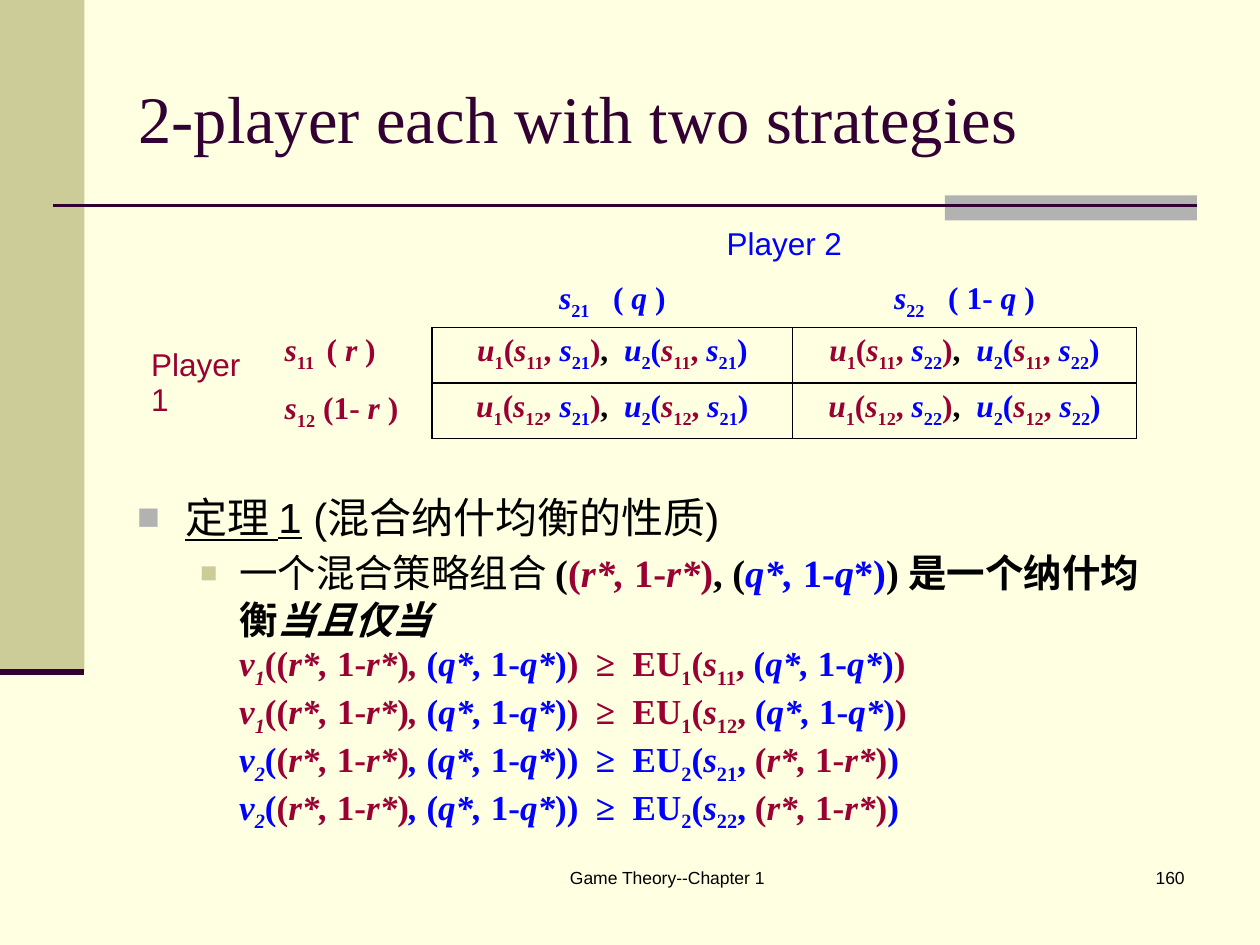
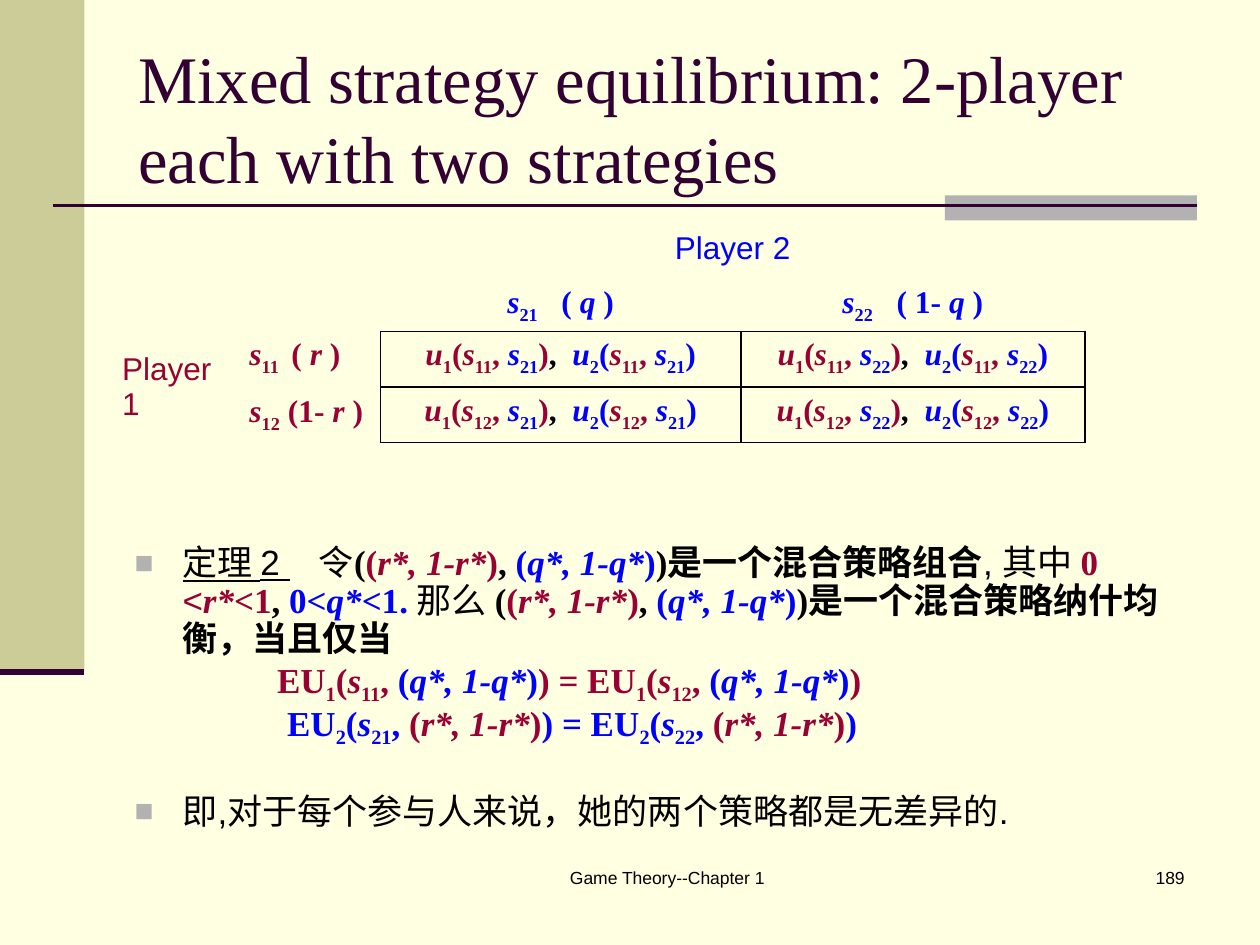
from dataclasses import dataclass
from typing import NamedTuple

from lxml import etree
from pptx import Presentation
from pptx import util as u
from pptx.dml.color import RGBColor
from pptx.enum import shapes, text
from pptx.oxml import ns

CREAM, KHAKI, GREY, PLUM = "FFFFE1", "CCCC99", "B2B2B2", "330033"
BLACK, RED, BLUE = "000000", "990033", "0000FF"
SANS, SERIF = "Arial", "Times New Roman"
NO_TABLE_STYLE = "{2D5ABB26-0587-4C30-8999-92F81FD0307C}"
LEFT, CENTER, RIGHT = text.PP_ALIGN.LEFT, text.PP_ALIGN.CENTER, text.PP_ALIGN.RIGHT
TOP, MIDDLE, BOTTOM = text.MSO_ANCHOR.TOP, text.MSO_ANCHOR.MIDDLE, text.MSO_ANCHOR.BOTTOM

COLOUR_MARKS = {"[": RED, "]": BLUE, "~": BLACK}
TOGGLE_MARKS = {"/": "italic", "_": "subscript", "|": "underline", "#": "math"}


class Box(NamedTuple):
    left: float
    top: float
    width: float
    height: float

    def inches(self) -> list:
        return [u.Inches(value) for value in self]


class Band(NamedTuple):
    box: Box
    colour: str


class Rule(NamedTuple):
    left: float
    right: float
    top: float
    weight: float


class Bullet(NamedTuple):
    colour: str
    percent: int


@dataclass
class Line:
    markup: str
    size: float
    align: text.PP_ALIGN = LEFT
    margin: float = 0
    indent: float = 0
    bullet: Bullet | None = None
    before: float = 0
    spacing: float | None = None
    name: str | None = None
    colour: str | None = None


@dataclass
class GameSlide:
    title: str
    number: int
    table_left: float
    table_top: float
    label_widths: tuple[float, float]
    body: Box
    lines: list[Line]


BANDS = [Band(Box(0, 0, 0.67, 5.33), KHAKI), Band(Box(7.5, 1.55, 2, 0.2), GREY)]
RULES = [Rule(0.42, 9.5, 1.63, 1.5), Rule(0, 0.67, 5.33, 3.5)]
TITLE_BOX = Box(1, 0.3, 8.5, 1.25)
FOOTER_BOX = Box(3.67, 6.83, 3.25, 0.5)
NUMBER_BOX = Box(7.42, 6.83, 2.08, 0.5)
MAIN_BULLET, SUB_BULLET = Bullet(GREY, 90), Bullet(KHAKI, 75)
PAYOFF_WIDTHS = (2.86, 2.73)
ROW_HEIGHTS = (0.47, 0.47, 0.42, 0.42)

R_MIX, Q_MIX = "(/r*, /1-/r*/)", "(/q*, /1-/q*/)"
R_SLANTED, Q_SLANTED = "(/r*, 1-r*/)", "(/q*, 1-q*/)"
PROFILE = f"([{R_SLANTED}~, ]{Q_SLANTED}~)"


def rgb(colour: str) -> RGBColor:
    return RGBColor.from_string(colour)


def parse_markup(markup: str) -> list[tuple[str, dict]]:
    style = dict(colour=BLACK, italic=False, subscript=False, underline=False, math=False)
    runs: list[tuple[str, dict]] = []
    for character in markup:
        if character in COLOUR_MARKS:
            style = style | {"colour": COLOUR_MARKS[character]}
        elif character in TOGGLE_MARKS:
            key = TOGGLE_MARKS[character]
            style = style | {key: not style[key]}
        elif runs and runs[-1][1] == style:
            runs[-1] = (runs[-1][0] + character, style)
        else:
            runs.append((character, style))
    return runs


def apply_style(font, style: dict) -> None:
    if "math" in style:
        font.name = SERIF if style["math"] else SANS
        font.bold = style["math"]
    if "colour" in style:
        font.color.rgb = rgb(style["colour"])
    if style.get("italic"):
        font.italic = True
    if style.get("underline"):
        font.underline = True


def add_bullet(properties, bullet: Bullet | None) -> None:
    if bullet is None:
        etree.SubElement(properties, ns.qn("a:buNone"))
        return
    colour = etree.SubElement(properties, ns.qn("a:buClr"))
    etree.SubElement(colour, ns.qn("a:srgbClr"), val=bullet.colour)
    etree.SubElement(properties, ns.qn("a:buSzPct"), val=str(bullet.percent * 1000))
    etree.SubElement(properties, ns.qn("a:buFont"), typeface=SANS)
    etree.SubElement(properties, ns.qn("a:buChar"), char="■")


def write_line(paragraph, line: Line) -> None:
    properties = paragraph._p.get_or_add_pPr()
    properties.set("marL", str(u.Inches(line.margin)))
    properties.set("indent", str(u.Inches(line.indent)))
    add_bullet(properties, line.bullet)
    paragraph.alignment = line.align
    paragraph.space_before = u.Pt(line.before)
    if line.spacing:
        paragraph.line_spacing = line.spacing
    paragraph.font.size = u.Pt(line.size)
    runs = parse_markup(line.markup)
    first = runs[0][1]
    shared = {key: first[key] for key in first
              if all(style[key] == first[key] for _, style in runs)}
    apply_style(paragraph.font, shared)
    if line.name:
        paragraph.font.name = line.name
    if line.colour:
        paragraph.font.color.rgb = rgb(line.colour)
    for words, style in runs:
        run = paragraph.add_run()
        run.text = words
        apply_style(run.font, {key: style[key] for key in style if key not in shared})
        if style["subscript"]:
            run._r.get_or_add_rPr().set("baseline", "-25000")


def add_text(slide, box: Box, lines: list[Line], anchor=TOP) -> None:
    frame = slide.shapes.add_textbox(*box.inches()).text_frame
    frame.word_wrap = True
    frame.vertical_anchor = anchor
    for index, line in enumerate(lines):
        write_line(frame.add_paragraph() if index else frame.paragraphs[0], line)


def add_band(slide, band: Band) -> None:
    shape = slide.shapes.add_shape(shapes.MSO_SHAPE.RECTANGLE, *band.box.inches())
    shape.shadow.inherit = False
    shape.fill.solid()
    shape.fill.fore_color.rgb = rgb(band.colour)
    shape.line.fill.background()


def add_rule(slide, rule: Rule) -> None:
    top = u.Inches(rule.top)
    connector = slide.shapes.add_connector(
        shapes.MSO_CONNECTOR.STRAIGHT, u.Inches(rule.left), top, u.Inches(rule.right), top)
    connector.line.color.rgb = rgb(PLUM)
    connector.line.width = u.Pt(rule.weight)
    etree.SubElement(connector._element.spPr, ns.qn("a:effectLst"))


def add_frame(slide, title: str, number: int) -> None:
    for band in BANDS:
        add_band(slide, band)
    for rule in RULES:
        add_rule(slide, rule)
    add_text(slide, FOOTER_BOX, [Line("Game Theory--Chapter 1", 10, CENTER)])
    add_text(slide, NUMBER_BOX, [Line(str(number), 10, RIGHT)])
    add_text(slide, TITLE_BOX, [Line(title, 38, name=SERIF, colour=PLUM)], MIDDLE)


def payoff(row: int, column: int) -> str:
    return (f"#[/u/_1_(/s/_1{row}_, ]/s/_2{column}_[)~,  "
            f"]/u/_2_([/s/_1{row}_, ]/s/_2{column}_)")


def write_cell(cell, markup: str, align=LEFT, anchor=TOP) -> None:
    cell.vertical_anchor = anchor
    write_line(cell.text_frame.paragraphs[0], Line(markup, 18, align, before=3.6))


def border_cell(cell) -> None:
    properties = cell._tc.get_or_add_tcPr()
    for side in ("lnL", "lnR", "lnT", "lnB"):
        edge = etree.SubElement(properties, ns.qn(f"a:{side}"), w=str(u.Pt(1)))
        fill = etree.SubElement(edge, ns.qn("a:solidFill"))
        etree.SubElement(fill, ns.qn("a:srgbClr"), val=BLACK)


def add_payoff_table(slide, left: float, top: float, label_widths: tuple[float, float]) -> None:
    widths = label_widths + PAYOFF_WIDTHS
    box = Box(left, top, sum(widths), sum(ROW_HEIGHTS))
    table = slide.shapes.add_table(len(ROW_HEIGHTS), len(widths), *box.inches()).table
    table.first_row = table.horz_banding = False
    table._tbl.tblPr.find(ns.qn("a:tableStyleId")).text = NO_TABLE_STYLE
    for column, width in zip(table.columns, widths):
        column.width = u.Inches(width)
    for row, height in zip(table.rows, ROW_HEIGHTS):
        row.height = u.Inches(height)
    for row in (1, 2):
        for column in (1, 2):
            cell = table.cell(row + 1, column + 1)
            border_cell(cell)
            write_cell(cell, payoff(row, column), CENTER)
    for cell in table.iter_cells():
        cell.fill.background()
    table.cell(0, 2).merge(table.cell(0, 3))
    table.cell(2, 0).merge(table.cell(3, 0))
    write_cell(table.cell(0, 2), "]Player 2", CENTER, BOTTOM)
    write_cell(table.cell(1, 2), "#]/s/_21_   ( /q/ )", CENTER, BOTTOM)
    write_cell(table.cell(1, 3), "#]/s/_22_   ( 1- /q/ )", CENTER, BOTTOM)
    write_cell(table.cell(2, 0), "[Player 1", anchor=MIDDLE)
    write_cell(table.cell(2, 1), "#[/s/_11 _ ( /r/ )")
    write_cell(table.cell(3, 1), "#[/s/_12_ (1- /r/ )", anchor=MIDDLE)


def best_reply(player: int, strategy: int) -> Line:
    if player == 1:
        markup = (f"#[/v_1_/({R_MIX}/, /]{Q_MIX}[)  ≥  "
                  f"EU_1_(/s/_1{strategy}_, ]{Q_MIX}[)")
    else:
        markup = (f"#]/v_2_/([{R_MIX}]/, /{Q_MIX})  ≥  "
                  f"EU_2_(/s/_2{strategy}_, [{R_MIX}])")
    return Line(markup, 20, margin=0.81)


def indifference(player: int, margin: float) -> Line:
    own, other, mix = ("[", "]", Q_SLANTED) if player == 1 else ("]", "[", R_SLANTED)
    sides = [f"EU_{player}_(/s/_{player}{strategy}_, {other}{mix}{own})" for strategy in (1, 2)]
    return Line(f"#{own}" + " = ".join(sides), 20, margin=margin, spacing=0.9)


def theorem(markup: str, size: float, before: float, spacing: float | None = None) -> Line:
    return Line(markup, size, margin=0.38, indent=-0.38, bullet=MAIN_BULLET,
                before=before, spacing=spacing)


SLIDES = [
    GameSlide(
        "2-player each with two strategies", 160, 1.1, 1.66, (1.06, 1.27),
        Box(0.99, 3.85, 8.42, 2.73),
        [theorem("|定理 1| (混合纳什均衡的性质)", 24, 4.8),
         Line(f"一个混合策略组合 #([{R_MIX}~, (]/q*, /1-/q/*)~) 是一个纳什均衡/当且仅当/", 22,
              margin=0.81, indent=-0.31, bullet=SUB_BULLET, before=4.4),
         *[best_reply(player, strategy) for player in (1, 2) for strategy in (1, 2)]]),
    GameSlide(
        "Mixed strategy equilibrium: 2-player each with two strategies", 189,
        0.87, 1.69, (1.01, 1.14), Box(0.97, 4.28, 8.42, 2.37),
        [theorem(f"|定理 2 |   令#{PROFILE}是一个混合策略组合#, 其中 #[0# <#/r*/<1~, ]0</q*/<1. "
                 f"~#那么 #{PROFILE}是一个混合策略纳什均衡，当且仅当", 20, 4, 0.9),
         indifference(1, 1.13),
         indifference(2, 1.21),
         theorem("即,对于每个参与人来说，她的两个策略都是无差异的.", 20, 28, 0.9)]),
]


def main() -> None:
    presentation = Presentation()
    presentation.slide_width, presentation.slide_height = u.Inches(10), u.Inches(7.5)
    background = presentation.slide_master.background.fill
    background.solid()
    background.fore_color.rgb = rgb(CREAM)
    for game in SLIDES:
        slide = presentation.slides.add_slide(presentation.slide_layouts[6])
        add_frame(slide, game.title, game.number)
        add_text(slide, game.body, game.lines)
        add_payoff_table(slide, game.table_left, game.table_top, game.label_widths)
    presentation.save("out.pptx")


if __name__ == "__main__":
    main()
